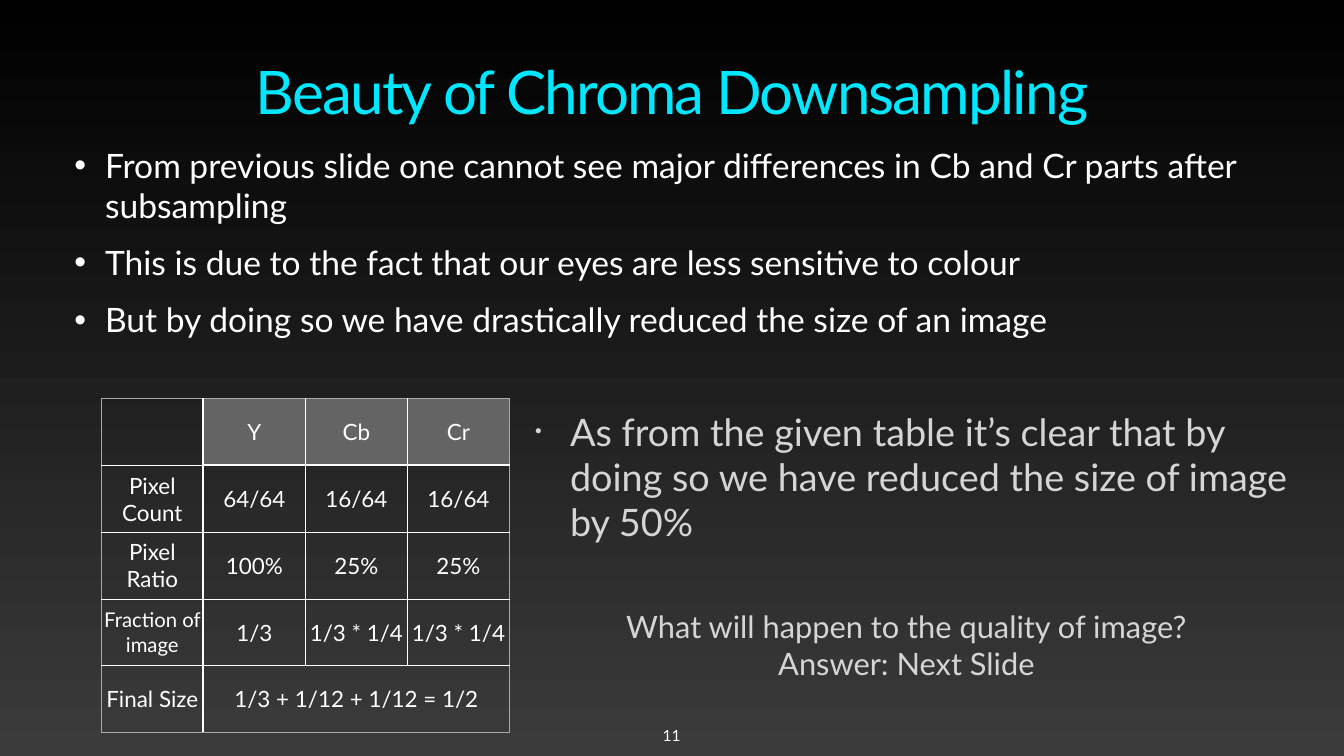
"""Build the chroma downsampling slide."""
from dataclasses import dataclass
from typing import Any

from lxml import etree
from pptx import Presentation, util as u
from pptx.dml import color
from pptx.enum import text as t
from pptx.oxml import ns

WHITE, PALE, GREY, HEAD, CYAN = "FFFFFF", "D5D5D5", "A9A9A9", "646464", "00E8FF"
MID, LOW = t.MSO_ANCHOR.MIDDLE, t.MSO_ANCHOR.BOTTOM
MARGIN = u.Pt(4)
SIDES = ("margin_left", "margin_top", "margin_right", "margin_bottom")
ROWS = (
    ("", "Y", "Cb", "Cr"),
    ("Pixel Count", "64/64", "16/64", "16/64"),
    ("Pixel Ratio", "100%", "25%", "25%"),
    ("Fraction of image", "1/3", "1/3 * 1/4", "1/3 * 1/4"),
    ("Final Size", "1/3 + 1/12 + 1/12 = 1/2", "", ""),
)
COL, ROW = 145.8, 95.4


@dataclass
class Block:
    """Text with its place and look."""
    lines: tuple[str, ...]
    at: tuple[float, float, float, float]
    size: float
    tint: str = WHITE
    anchor: Any = MID
    fit: Any = t.MSO_AUTO_SIZE.SHAPE_TO_FIT_TEXT
    wrap: bool = True
    indent: float = 0
    gap: float = 0
    space: float = 1.0
    dot: int = 100


TITLE = Block(("Beauty of Chroma Downsampling",), (100, 64, 1720, 122.4), 85.8,
              CYAN, LOW, t.MSO_AUTO_SIZE.NONE, space=0.9)
FACTS = Block((
    "From previous slide one cannot see major differences in Cb and Cr parts after subsampling",
    "This is due to the fact that our eyes are less sensitive to colour",
    "But by doing so we have drastically reduced the size of an image",
), (102.2, 190, 1716, 312), 48, indent=44, gap=24)
RESULT = Block((
    "As from the given table it’s clear that by doing so we have reduced the size of image by 50%",
), (760.3, 568.8, 1138.3, 223.2), 54, PALE, indent=50, dot=50)
QUERY = Block(("What will happen to the quality of image?", "Answer: Next Slide"),
              (880, 859.7, 830, 123.8), 44, PALE, wrap=False)
NUMBER = Block(("11",), (934.3, 1030.3, 50, 36.7), 22, anchor=LOW, wrap=False)


def rgb(code: str) -> color.RGBColor:
    """Turn a hex string into a colour."""
    return color.RGBColor.from_string(code)


def assign(item: Any, values: dict[str, Any]) -> None:
    """Set each named value on an item."""
    for name, value in values.items():
        setattr(item, name, value)


def style(run: Any, size: float, tint: str) -> None:
    """Format one run."""
    assign(run.font, {"name": "Lato", "size": u.Pt(size), "bold": False})
    run.font.color.rgb = rgb(tint)


def bullet(para: Any, indent: float, dot: int) -> None:
    """Give a paragraph a hanging bullet."""
    props = para._p.get_or_add_pPr()
    props.set("marL", str(u.Pt(indent)))
    props.set("indent", str(-u.Pt(indent)))
    for tag, key, value in (("a:buSzPct", "val", str(dot * 1000)),
                            ("a:buFont", "typeface", "Arial"),
                            ("a:buChar", "char", "•")):
        etree.SubElement(props, ns.qn(tag)).set(key, value)


def write(shape: Any, block: Block) -> None:
    """Place a shape and fill it with text."""
    assign(shape, dict(zip(("left", "top", "width", "height"), map(u.Pt, block.at))))
    frame = shape.text_frame
    assign(frame, {"word_wrap": block.wrap, "auto_size": block.fit,
                   "vertical_anchor": block.anchor, **dict.fromkeys(SIDES, MARGIN)})
    for i, line in enumerate(block.lines):
        para = frame.add_paragraph() if i else frame.paragraphs[0]
        if block.indent:
            bullet(para, block.indent, block.dot)
        align = t.PP_ALIGN.LEFT if block.indent else t.PP_ALIGN.CENTER
        assign(para, {"alignment": align, "line_spacing": block.space,
                      "space_before": u.Pt(block.gap if i else 0)})
        run = para.add_run()
        run.text = line
        style(run, block.size, block.tint)


def edge(cell: Any, tag: str, tint: str, width: float) -> None:
    """Draw one border of a cell."""
    line = etree.SubElement(cell._tc.get_or_add_tcPr(), ns.qn(tag), w=str(u.Pt(width)))
    fill = etree.SubElement(line, ns.qn("a:solidFill"))
    etree.SubElement(fill, ns.qn("a:srgbClr"), val=tint)


def draw_cell(cell: Any, row: int, col: int, words: str) -> None:
    """Fill, border and label one table cell."""
    head = row == 0 and col > 0
    last = col + cell.span_width == len(ROWS[0])
    for tag, outer, thick in (
        ("a:lnL", col == 0, col == 1),
        ("a:lnR", last, col == 0),
        ("a:lnT", row == 0, row == 1 and col > 0),
        ("a:lnB", row == len(ROWS) - 1, head),
    ):
        edge(cell, tag, GREY if outer else WHITE, 3 if thick else 1)
    if head:
        cell.fill.solid()
        cell.fill.fore_color.rgb = rgb(HEAD)
    else:
        cell.fill.background()
    assign(cell, {"vertical_anchor": MID, **dict.fromkeys(SIDES, MARGIN)})
    if words:
        para = cell.text_frame.paragraphs[0]
        para.alignment = t.PP_ALIGN.CENTER
        run = para.add_run()
        run.text = words
        style(run, 29 if words.startswith("Fraction") else 32, WHITE)


def draw_table(slide: Any) -> None:
    """Draw the pixel count table."""
    rows, cols = len(ROWS), len(ROWS[0])
    table = slide.shapes.add_table(rows, cols, u.Pt(144.7), u.Pt(569.5),
                                   u.Pt(COL * cols), u.Pt(ROW * rows)).table
    assign(table, {"first_row": False, "horz_banding": False})
    table.cell(rows - 1, 1).merge(table.cell(rows - 1, cols - 1))
    for row, line in enumerate(ROWS):
        for col, words in enumerate(line):
            draw_cell(table.cell(row, col), row, col, words)


def main() -> None:
    """Build and save the slide."""
    deck = Presentation()
    assign(deck, {"slide_width": u.Pt(1920), "slide_height": u.Pt(1080)})
    slide = deck.slides.add_slide(deck.slide_layouts[3])
    back = slide.background.fill
    back.gradient()
    back.gradient_angle = 270
    for stop, tint in zip(back.gradient_stops, ("000000", "3B3B3B")):
        stop.color.rgb = rgb(tint)
    for shape, block in zip(slide.placeholders, (TITLE, FACTS, RESULT)):
        write(shape, block)
    title = slide.shapes.title.text_frame.paragraphs[0].runs[0]
    title._r.get_or_add_rPr().set("spc", "-260")
    draw_table(slide)
    for block in (QUERY, NUMBER):
        write(slide.shapes.add_textbox(0, 0, 0, 0), block)
    deck.save("out.pptx")


if __name__ == "__main__":
    main()
